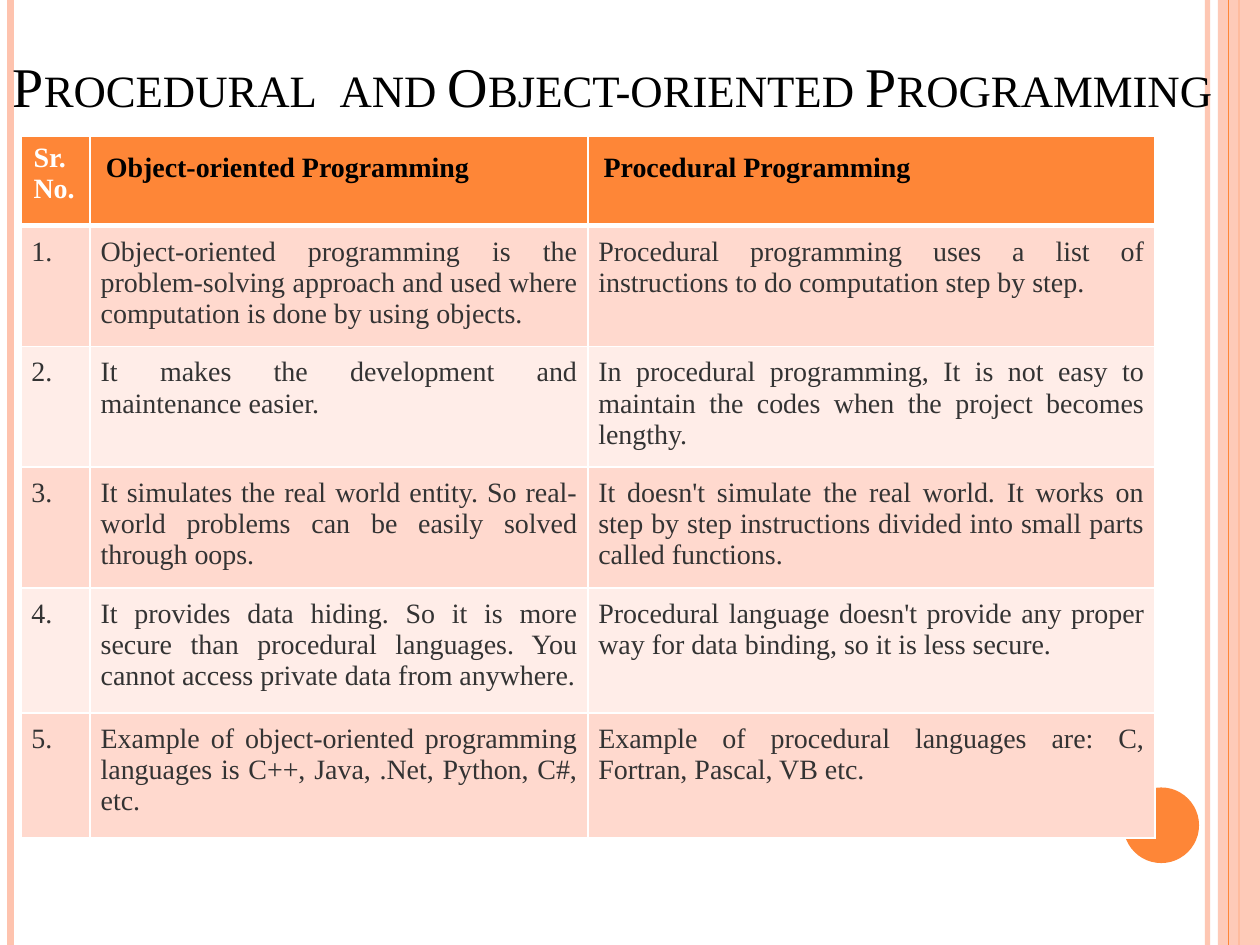
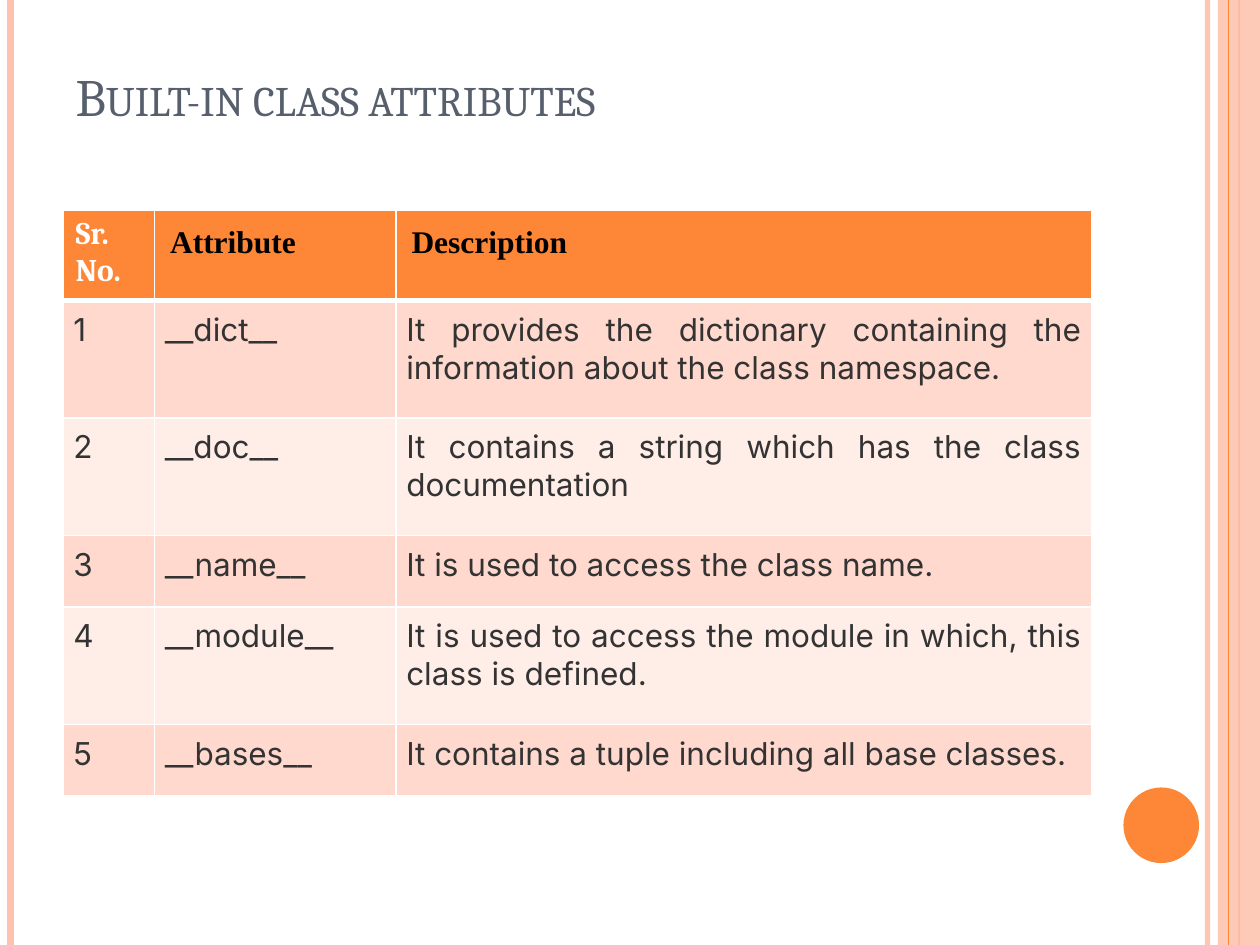
"""Builds two comparison-table slides on a grid of 120 by 90 cells."""
from dataclasses import dataclass
from lxml.etree import SubElement as Sub
from pptx import Presentation
from pptx.dml.color import RGBColor as Rgb
from pptx.enum.shapes import MSO_CONNECTOR as Wire, MSO_SHAPE as Kind
from pptx.enum.text import MSO_ANCHOR as Anchor, MSO_AUTO_SIZE as Fit, PP_ALIGN as Align
from pptx.oxml.ns import qn
from pptx.util import Inches, Pt


@dataclass(frozen=True)
class Theme:
    """Colours, fonts and type sizes."""
    main: str = "FE8637"
    soft: str = "FEC3AE"
    bands: tuple = ("FFD9CE", "FFEDE8")
    white: str = "FFFFFF"
    black: str = "000000"
    slate: str = "575F6D"
    ink: str = "333333"
    times: str = "Times New Roman"
    serif: str = "Cambria"
    sans: str = "Inter"
    big: int = 32
    head: int = 30
    text: int = 18
    small: int = 16


def cell(count):
    """Turn grid cells into a length."""
    return Inches(count / 12)


def fade(fill, share):
    """Make a solid colour partly transparent."""
    Sub(fill.find(".//" + qn("a:srgbClr")), qn("a:alpha"), val=str(share * 1000))


def style(para, face, size, color, bold=False):
    """Set the font of a paragraph."""
    font = para.font
    font.name, font.size, font.bold = face, Pt(size), bold
    font.color.rgb = Rgb.from_string(color)
    return font


class Deck:
    """Holds the theme and the current slide."""

    def __init__(self, theme):
        """Start an empty deck."""
        self.theme = theme
        self.file = Presentation()
        self.file.slide_width, self.file.slide_height = cell(120), cell(90)

    def page(self):
        """Add a slide with the shared side bands and dot."""
        look = self.theme
        self.slide = self.file.slides.add_slide(self.file.slide_layouts[5])
        self.rule(115, look.soft, 3, 93)
        self.rule(1, look.soft, 4.5)
        self.rule(118, look.main, 1.5)
        self.shape(Kind.RECTANGLE, (116, 0, 4, 90), look.soft, 87)
        self.rule(117, look.main, 0.75)
        self.shape(Kind.OVAL, (107, 75, 7.2, 7.2), look.main)

    def rule(self, left, color, width, share=100):
        """Draw a line down the whole slide."""
        line = self.slide.shapes.add_connector(
            Wire.STRAIGHT, cell(left), 0, cell(left), cell(90))
        line.line.color.rgb = Rgb.from_string(color)
        line.line.width = Pt(width)
        props = line.element.spPr
        if share < 100:
            fade(props, share)
        Sub(props, qn("a:effectLst"))

    def shape(self, kind, box, color, share=100):
        """Draw a plain filled shape."""
        item = self.slide.shapes.add_shape(kind, *map(cell, box))
        item.shadow.inherit = False
        item.fill.solid()
        item.fill.fore_color.rgb = Rgb.from_string(color)
        item.line.fill.background()
        if share < 100:
            fade(item.element.spPr, share)

    def title(self, text, box, face, size, color):
        """Fill the title placeholder in small capitals, above the bands."""
        item = self.slide.shapes.title
        self.slide.shapes.element.append(item.element)
        item.left, item.top, item.width, item.height = map(cell, box)
        frame = item.text_frame
        frame.text = text
        frame.word_wrap, frame.auto_size = True, Fit.NONE
        frame.vertical_anchor = Anchor.BOTTOM
        para = frame.paragraphs[0]
        para.alignment = Align.LEFT
        style(para, face, size, color)
        para.runs[0].font.bold = False
        para.runs[0].font.element.set("cap", "small") if hasattr(
            para.runs[0].font, "element") else para.runs[0]._r.get_or_add_rPr().set("cap", "small")

    def edge(self, item, foot):
        """Draw white borders, with a given width at the foot."""
        props = item._tc.get_or_add_tcPr()
        for spot, (side, width) in enumerate(zip("LRTB", (1, 1, 1, foot))):
            line = props.makeelement(qn("a:ln" + side), {"w": str(Pt(width))})
            fill = Sub(line, qn("a:solidFill"))
            Sub(fill, qn("a:srgbClr"), val=self.theme.white)
            props.insert(spot, line)

    def table(self, spot, cols, tall, rows, faces, size):
        """Add a banded table; faces are for number head, heads and body."""
        look = self.theme
        grid = self.slide.shapes.add_table(
            len(rows), len(cols), *map(cell, (*spot, sum(cols), sum(tall)))).table
        for col, width in zip(grid.columns, cols):
            col.width = cell(width)
        for y, (row, height) in enumerate(zip(rows, tall)):
            grid.rows[y].height = cell(height)
            for x, text in enumerate(row):
                item = grid.cell(y, x)
                item.text = text
                para = item.text_frame.paragraphs[0]
                if y == 0:
                    color = look.black if x else look.white
                    style(para, faces[min(x, 1)], size, color, True)
                else:
                    style(para, faces[2], size, look.ink)
                    para.alignment = Align.JUSTIFY
                if x or y:
                    pad = cell(1 if y else 1.5)
                    item.margin_left = item.margin_right = pad
                    item.margin_top = item.margin_bottom = pad
                item.fill.solid()
                item.fill.fore_color.rgb = Rgb.from_string(
                    look.bands[(y - 1) % 2] if y else look.main)
                self.edge(item, 1 if y else 3)


STYLES = [
    ("Sr. No.", "Object-oriented Programming", "Procedural Programming"),
    ("1.", "Object-oriented programming is the problem-solving approach and used where "
     "computation is done by using objects.",
     "Procedural programming uses a list of instructions to do computation step by step."),
    ("2.", "It makes the development and maintenance easier.",
     "In procedural programming, It is not easy to maintain the codes when the project "
     "becomes lengthy."),
    ("3.", "It simulates the real world entity. So real-world problems can be easily "
     "solved through oops.",
     "It doesn't simulate the real world. It works on step by step instructions divided "
     "into small parts called functions."),
    ("4.", "It provides data hiding. So it is more secure than procedural languages. You "
     "cannot access private data from anywhere.",
     "Procedural language doesn't provide any proper way for data binding, so it is less "
     "secure."),
    ("5.", "Example of object-oriented programming languages is C++, Java, .Net, Python, "
     "C#, etc.",
     "Example of procedural languages are: C, Fortran, Pascal, VB etc."),
]

FIELDS = [
    ("Sr. No.", "Attribute", "Description"),
    ("1", "__dict__", "It provides the dictionary containing the information about the "
     "class namespace."),
    ("2", "__doc__", "It contains a string which has the class documentation"),
    ("3", "__name__", "It is used to access the class name."),
    ("4", "__module__", "It is used to access the module in which, this class is defined."),
    ("5", "__bases__", "It contains a tuple including all base classes."),
]


def main():
    """Build both slides and save them."""
    look = Theme()
    deck = Deck(look)

    deck.page()
    deck.title("Procedural  and Object-oriented Programming", (0, 3, 120, 8.9),
               look.times, look.big, look.black)
    deck.table((2, 13), (6.6, 47.4, 54), (8.5, 11.5, 11.5, 11.5, 11.9, 11.9),
               STYLES, [look.times] * 3, look.small)

    deck.page()
    deck.title("Built-in class attributes", (6, 3.6, 98, 9.1),
               look.serif, look.head, look.slate)
    deck.table((6, 20), (8.7, 23, 66.3), (8.6, 11.2, 11.2, 6.8, 11.2, 6.8),
               FIELDS, (look.serif, look.times, look.sans), look.text)

    deck.file.save("out.pptx")


if __name__ == "__main__":
    main()
